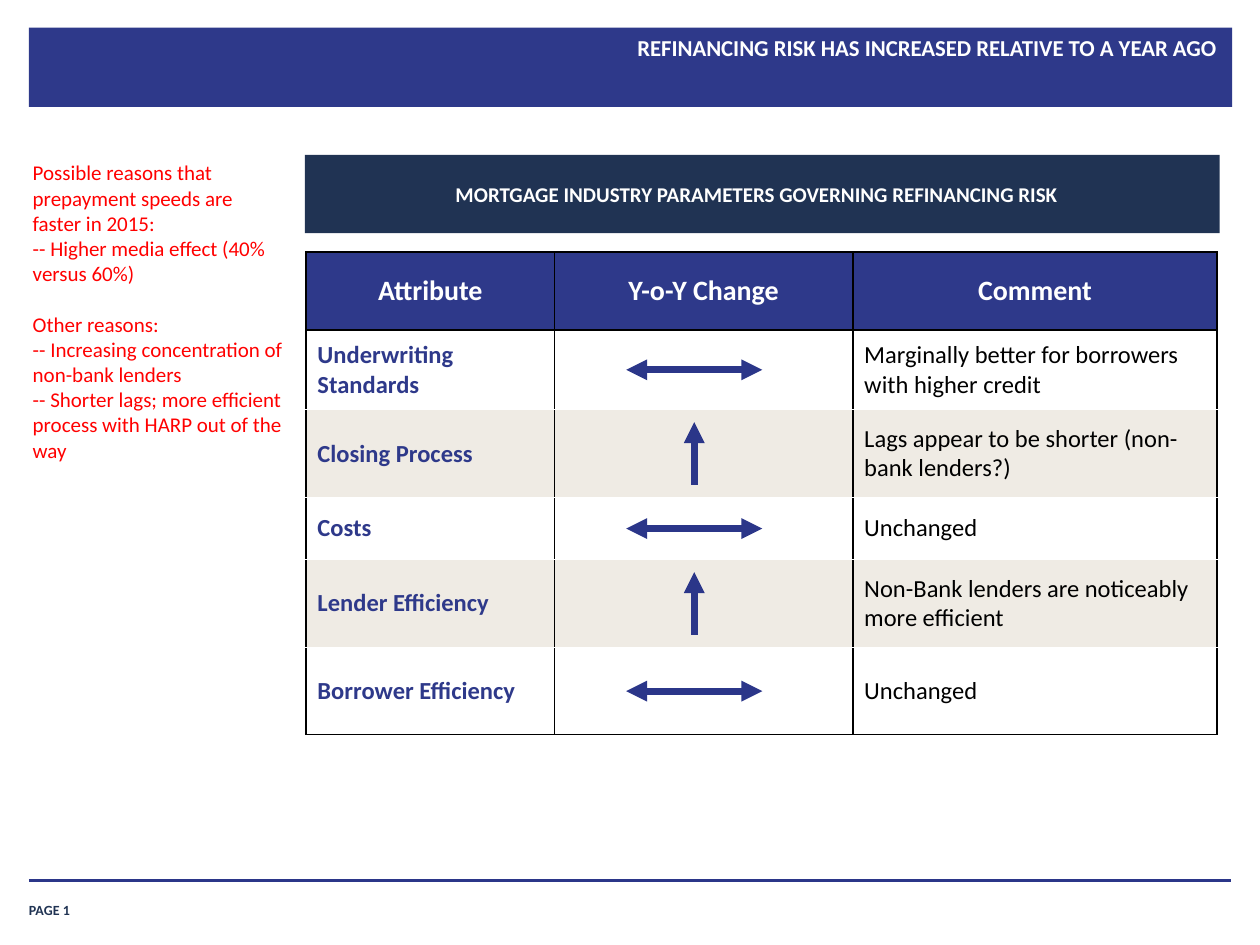
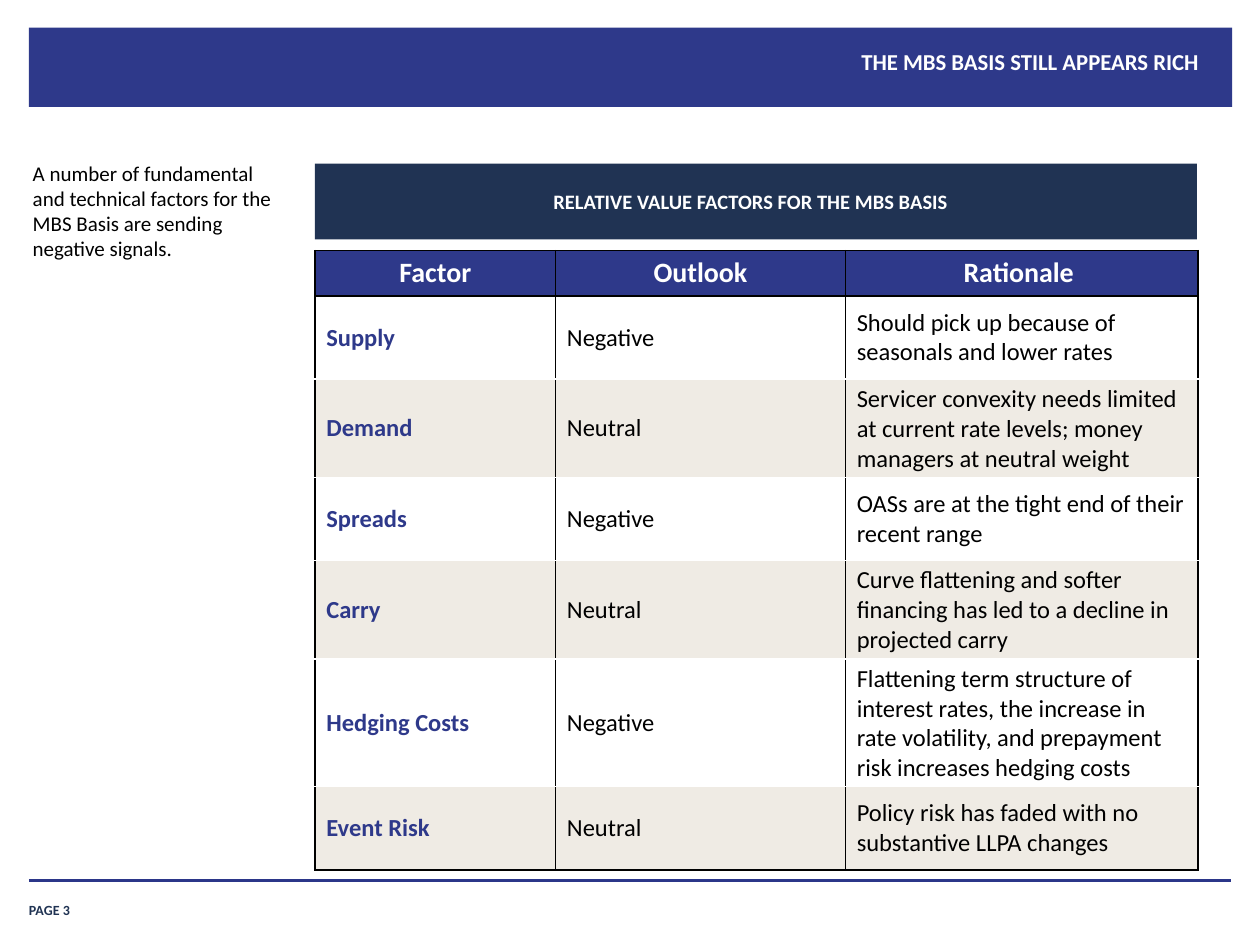
from dataclasses import dataclass

from lxml.etree import SubElement
from pptx import Presentation
from pptx.dml.color import RGBColor as RGB
from pptx.enum.shapes import MSO_CONNECTOR as LINE, MSO_SHAPE as SHAPE
from pptx.enum.text import MSO_ANCHOR as ANCHOR, MSO_AUTO_SIZE as FIT, PP_ALIGN as ALIGN
from pptx.oxml.ns import qn
from pptx.util import Inches, Pt


@dataclass(frozen=True)
class Theme:
    font: str = "Calibri"
    blue: str = "2E398A"
    line_blue: str = "2B3689"
    navy: str = "203353"
    sand: str = "EFEBE4"
    red: str = "FF0000"
    white: str = "FFFFFF"
    black: str = "000000"
    header_size: float = 16
    cell_size: float = 14
    title_size: float = 13
    note_size: float = 12
    footer_size: float = 8


theme = Theme()

# Content; places are percentages of the slide: left, top, width, height
pages = [
    dict(
        number=1,
        title="REFINANCING RISK HAS INCREASED RELATIVE TO A YEAR AGO",
        title_place=(12.3, 2.93, 85.2, 7.87),
        banner="MORTGAGE INDUSTRY PARAMETERS GOVERNING REFINANCING RISK ",
        banner_place=(24.2, 16.4, 72.6, 8.27),
        banner_size=12,
        notes=[
            "Possible reasons that prepayment speeds are faster in 2015:",
            "-- Higher media effect (40% versus 60%)",
            "Other reasons:",
            "-- Increasing concentration of non-bank lenders",
            "-- Shorter lags; more efficient process with HARP out of the way",
        ],
        note_color=theme.red,
        note_height=33.47,
        table_place=(24.3, 26.67, 72.4, 51.07),
        columns=[1.97, 2.37, 2.89],
        row_heights=[0.62, 0.63, 0.7, 0.49, 0.7, 0.69],
        rows=[
            ("Attribute", "Y-o-Y Change", "Comment"),
            ("Underwriting Standards", "", "Marginally better for borrowers with higher credit"),
            ("Closing Process", "", "Lags appear to be shorter (non-bank lenders?)"),
            ("Costs", "", "Unchanged"),
            ("Lender Efficiency", "", "Non-Bank lenders are noticeably more efficient"),
            ("Borrower Efficiency", "", "Unchanged"),
        ],
        trends=["flat", "up", "flat", "up", "flat"],
    ),
    dict(
        number=3,
        title="THE MBS BASIS STILL APPEARS RICH",
        title_place=(13.4, 4.4, 82.7, 7.6),
        banner="RELATIVE VALUE FACTORS FOR THE MBS BASIS ",
        banner_place=(25, 17.33, 70, 8),
        banner_size=11.7,
        notes=["A number of fundamental and technical factors for the MBS Basis "
               "are sending negative signals."],
        note_color=theme.black,
        note_height=14.67,
        table_place=(25, 26.53, 70, 65.73),
        columns=[1.91, 2.3, 2.8],
        row_heights=[0.36, 0.66, 0.74, 0.66, 0.74, 0.96, 0.66],
        rows=[
            ("Factor", "Outlook", "Rationale "),
            ("Supply", "Negative", "Should pick up because of seasonals and lower rates"),
            ("Demand", "Neutral", "Servicer convexity needs limited at current rate levels; "
                                  "money managers at neutral weight"),
            ("Spreads", "Negative", "OASs are at the tight end of their recent range"),
            ("Carry", "Neutral", "Curve flattening and softer financing has led to a decline "
                                 "in projected carry"),
            ("Hedging Costs", "Negative", "Flattening term structure of interest rates, the increase "
                                          "in rate volatility, and prepayment risk increases "
                                          "hedging costs"),
            ("Event Risk", "Neutral", "Policy risk has faded with no substantive LLPA changes"),
        ],
        trends=[],
    ),
]

deck = Presentation()
deck.slide_width, deck.slide_height = Inches(10), Inches(7.5)


def place(*shares):
    """Turn alternating horizontal and vertical percentages into lengths."""
    sides = (deck.slide_width, deck.slide_height)
    return [round(share / 100 * sides[i % 2]) for i, share in enumerate(shares)]


def write(para, text, size, color, bold=False):
    span = para.add_run()
    span.text = text
    span.font.name, span.font.size, span.font.bold = theme.font, Pt(size), bold
    span.font.color.rgb = RGB.from_string(color)


for content in pages:
    page = deck.slides.add_slide(deck.slide_layouts[5])
    shapes = page.shapes

    # Title on the top band, and the dark banner
    title = shapes.title
    title.left, title.top, title.width, title.height = place(*content["title_place"])
    title.text_frame.auto_size = FIT.NONE
    title.text_frame.vertical_anchor = ANCHOR.TOP
    title.text_frame.paragraphs[0].alignment = ALIGN.RIGHT
    write(title.text_frame.paragraphs[0], content["title"], theme.title_size, theme.white, True)

    band = shapes.add_shape(SHAPE.RECTANGLE, *place(2.3, 2.93, 95.5, 8.4))
    banner = shapes.add_shape(SHAPE.RECTANGLE, *place(*content["banner_place"]))
    for bar, color in ((band, theme.blue), (banner, theme.navy)):
        bar.shadow.inherit = False
        bar.fill.solid()
        bar.fill.fore_color.rgb = RGB.from_string(color)
        bar.line.fill.background()
    title.element.addprevious(band.element)
    frame = banner.text_frame
    frame.margin_left, frame.margin_right = Inches(0.05), Inches(0.1)
    frame.vertical_anchor = ANCHOR.MIDDLE
    frame.paragraphs[0].alignment = ALIGN.CENTER
    write(frame.paragraphs[0], content["banner"], content["banner_size"], theme.white, True)

    # Side notes
    box = shapes.add_textbox(*place(1.7, 16.4, 21.7, content["note_height"]))
    frame = box.text_frame
    frame.word_wrap = True
    frame.margin_left = frame.margin_right = Inches(0.09)
    frame.margin_top = frame.margin_bottom = Inches(0.04)
    for index, note in enumerate(content["notes"]):
        para = frame.paragraphs[0] if index == 0 else frame.add_paragraph()
        if note == "Other reasons:":
            para.space_before = Pt(theme.note_size * 1.2)
        write(para, note, theme.note_size, content["note_color"])

    # Table
    rows = content["rows"]
    table_place = place(*content["table_place"])
    table = shapes.add_table(len(rows), 3, *table_place).table
    table.horz_banding = False
    for column, width in zip(table.columns, content["columns"]):
        column.width = Inches(width)
    for row, height in zip(table.rows, content["row_heights"]):
        row.height = Inches(height)

    last = len(rows) - 1
    for r, texts in enumerate(rows):
        top_color = theme.black if r <= 1 else theme.white
        bottom_color = theme.black if r in (0, last) else theme.white
        fill = theme.blue if r == 0 else theme.white if r % 2 else theme.sand
        for c, text in enumerate(texts):
            cell = table.cell(r, c)
            cell.vertical_anchor = ANCHOR.MIDDLE
            cell.margin_left = cell.margin_right = Inches(0.09)
            cell.margin_top = cell.margin_bottom = Inches(0.04)
            properties = cell._tc.get_or_add_tcPr()
            for side, color in (("L", theme.black), ("R", theme.black),
                                ("T", top_color), ("B", bottom_color)):
                border = SubElement(properties, qn(f"a:ln{side}"), w=str(Pt(1)))
                SubElement(SubElement(border, qn("a:solidFill")), qn("a:srgbClr"), val=color)
            cell.fill.solid()
            cell.fill.fore_color.rgb = RGB.from_string(fill)
            para = cell.text_frame.paragraphs[0]
            if r == 0:
                para.alignment = ALIGN.CENTER
                write(para, text, theme.header_size, theme.white, True)
            elif text:
                write(para, text, theme.cell_size, theme.black if c else theme.blue, c == 0)

    # Footer rule, and a trend arrow at the middle of each row
    lines = [(place(2.3, 93.2, 97.7, 93.2), 2, [])]
    axis, half_width, half_height = *place(55.1), Inches(0.54), Inches(0.25)
    for r, trend in enumerate(content["trends"], start=1):
        heights = content["row_heights"]
        middle = table_place[1] + Inches(sum(heights[:r]) + heights[r] / 2)
        if trend == "flat":
            ends = [axis - half_width, middle, axis + half_width, middle]
            lines.append((ends, 4, ["headEnd", "tailEnd"]))
        else:
            ends = [axis, middle - half_height, axis, middle + half_height]
            lines.append((ends, 4, ["headEnd"]))
    for ends, weight, heads in lines:
        line = shapes.add_connector(LINE.STRAIGHT, *ends)
        line.line.width = Pt(weight)
        line.line.color.rgb = RGB.from_string(theme.line_blue)
        for head in heads:
            SubElement(line.line._get_or_add_ln(), qn(f"a:{head}"), type="triangle")
        SubElement(line.element.spPr, qn("a:effectLst"))

    # Page number
    frame = shapes.add_textbox(*place(2.3, 94.4, 8.2, 2.8)).text_frame
    frame.margin_left = frame.margin_right = frame.margin_top = frame.margin_bottom = 0
    frame.word_wrap = True
    frame.vertical_anchor = ANCHOR.BOTTOM
    write(frame.paragraphs[0], f"PAGE {content['number']}", theme.footer_size, theme.navy, True)

deck.save("out.pptx")
